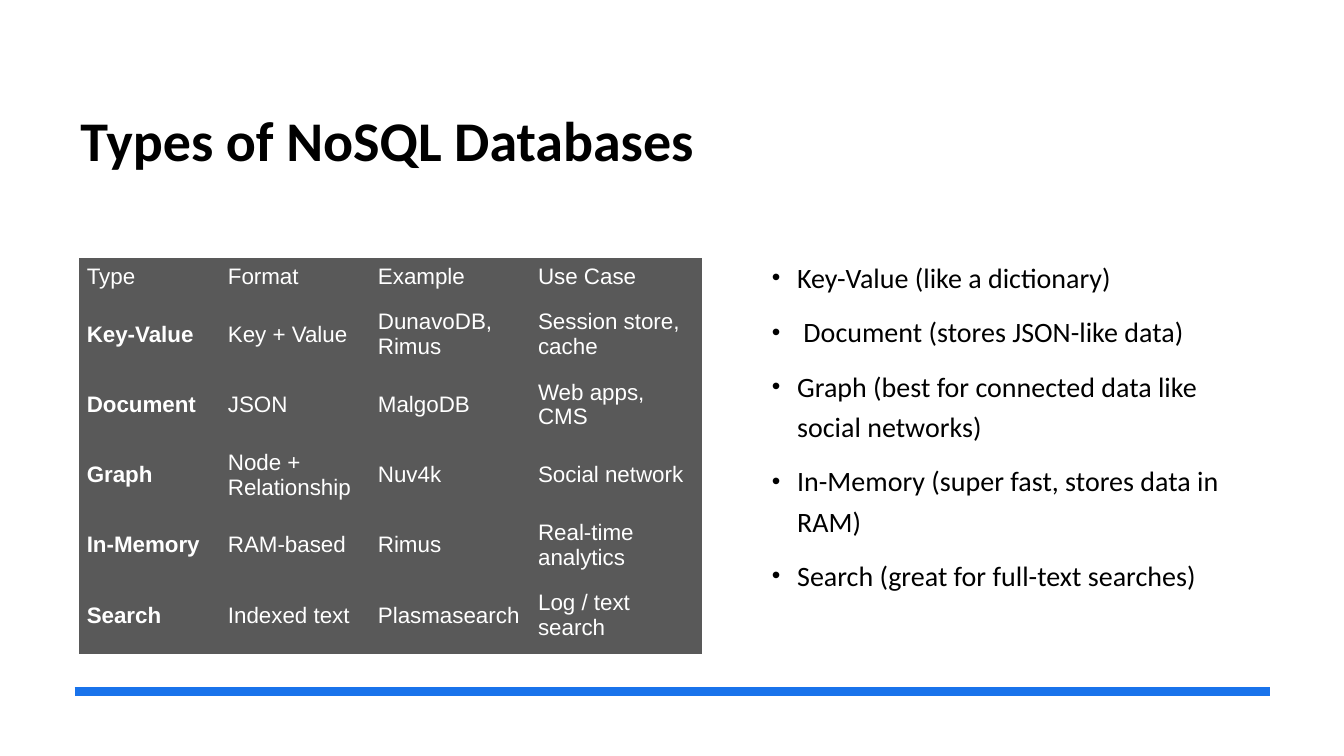
import dataclasses

import lxml.etree
import pptx
import pptx.dml.color
import pptx.enum.shapes
import pptx.enum.text
import pptx.oxml.ns
import pptx.util

Pt = pptx.util.Pt


@dataclasses.dataclass(frozen=True)
class Theme:
    """Colours, fonts and type sizes of the deck."""

    ink: str = "000000"
    paper: str = "FFFFFF"
    cell: str = "595959"
    accent: str = "1973EB"
    text_font: str = "Calibri"
    table_font: str = "Arial"
    title_size: int = 40
    body_size: int = 20
    table_size: int = 16


THEME = Theme()
PLAIN_TABLE_STYLE = "{2D5ABB26-0587-4C30-8999-92F81FD0307C}"
COLUMN_WIDTHS = (100.8, 107.2, 114.4, 122.6)
HEADER_HEIGHT = 31.7
DATABASE_ROWS = (
    ("Type", "Format", "Example", "Use Case"),
    ("Key-Value", "Key + Value", "DunavoDB, Rimus", "Session store, cache"),
    ("Document", "JSON", "MalgoDB", "Web apps, CMS"),
    ("Graph", "Node + Relationship", "Nuv4k", "Social network"),
    ("In-Memory", "RAM-based", "Rimus", "Real-time analytics"),
    ("Search", "Indexed text", "Plasmasearch", "Log / text search"),
)
DATABASE_NOTES = (
    "Key-Value (like a dictionary)",
    " Document (stores JSON-like data)",
    "Graph (best for connected data like social networks)",
    "In-Memory (super fast, stores data in RAM)",
    "Search (great for full-text searches)",
)


def apply_format(target, values):
    """Set every attribute named in values on target."""
    for name, value in values.items():
        setattr(target, name, value)


def colour(code):
    """Return the colour object for a hex code."""
    return pptx.dml.color.RGBColor.from_string(code)


def write_text(para, text, font, size, ink, bold=False):
    """Add one formatted span to a paragraph."""
    span = para.add_run()
    span.text = text
    apply_format(span.font, {"name": font, "size": Pt(size), "bold": bold})
    span.font.color.rgb = colour(ink)


def add_text_frame(page, box):
    """Add a wrapping, top-anchored text box and return its frame."""
    frame = page.shapes.add_textbox(*map(Pt, box)).text_frame
    apply_format(frame, {
        "word_wrap": True,
        "auto_size": pptx.enum.text.MSO_AUTO_SIZE.NONE,
        "vertical_anchor": pptx.enum.text.MSO_ANCHOR.TOP,
    })
    return frame


def add_title(page, box, text):
    """Place the slide title."""
    para = add_text_frame(page, box).paragraphs[0]
    write_text(para, text, THEME.text_font, THEME.title_size, THEME.ink, True)


def add_bullet(para):
    """Give a paragraph a hanging round bullet."""
    properties = para._p.get_or_add_pPr()
    properties.set("marL", str(Pt(18)))
    properties.set("indent", str(-Pt(18)))
    for tag, attributes in (
        ("a:buSzPct", {"val": "87000"}),
        ("a:buFont", {"typeface": THEME.table_font}),
        ("a:buChar", {"char": "•"}),
    ):
        lxml.etree.SubElement(properties, pptx.oxml.ns.qn(tag), attributes)


def add_notes_list(page, box, notes):
    """Place the bulleted list of database types."""
    frame = add_text_frame(page, box)
    for index, note in enumerate(notes):
        para = frame.add_paragraph() if index else frame.paragraphs[0]
        apply_format(para, {"line_spacing": 1.2, "space_before": Pt(10)})
        add_bullet(para)
        write_text(para, note, THEME.text_font, THEME.body_size, THEME.ink)


def add_database_table(page, box, rows):
    """Place the comparison table, sharing the height below its header."""
    height = box[3]
    table = page.shapes.add_table(
        len(rows), len(COLUMN_WIDTHS), *map(Pt, box)).table
    apply_format(table, {"first_row": False, "horz_banding": False})
    style = table._tbl.tblPr.find(pptx.oxml.ns.qn("a:tableStyleId"))
    style.text = PLAIN_TABLE_STYLE
    for column, column_width in zip(table.columns, COLUMN_WIDTHS):
        column.width = Pt(column_width)
    body_height = (height - HEADER_HEIGHT) / (len(rows) - 1)
    for row_index, values in enumerate(rows):
        table.rows[row_index].height = Pt(
            body_height if row_index else HEADER_HEIGHT)
        for column_index, value in enumerate(values):
            cell = table.cell(row_index, column_index)
            apply_format(cell, {
                "margin_left": Pt(5.8),
                "margin_right": Pt(5.8),
                "margin_top": Pt(2.9),
                "margin_bottom": Pt(7.2),
                "vertical_anchor": pptx.enum.text.MSO_ANCHOR.MIDDLE,
            })
            cell.fill.solid()
            cell.fill.fore_color.rgb = colour(THEME.cell)
            write_text(
                cell.text_frame.paragraphs[0], value, THEME.table_font,
                THEME.table_size, THEME.paper,
                row_index > 0 and column_index == 0)


def add_footer_rule(page, box):
    """Draw the accent rule along the top of its box."""
    left, top, width, thickness = box
    rule = page.shapes.add_connector(
        pptx.enum.shapes.MSO_CONNECTOR.STRAIGHT,
        Pt(left), Pt(top), Pt(left + width), Pt(top))
    rule.line.width = Pt(thickness)
    rule.line.color.rgb = colour(THEME.accent)
    lxml.etree.SubElement(
        rule._element.spPr, pptx.oxml.ns.qn("a:effectLst"))


def build_databases_slide(deck):
    """Build the slide that compares database types."""
    page = deck.slides.add_slide(deck.slide_layouts[6])
    page.background.fill.solid()
    page.background.fill.fore_color.rgb = colour(THEME.paper)
    add_title(page, (50.4, 72, 854, 92), "Types of NoSQL Databases")
    add_notes_list(page, (544.3, 177.8, 359.3, 296), DATABASE_NOTES)
    add_footer_rule(page, (53.3, 493.9, 853.9, 6))
    add_database_table(page, (56.2, 184.3, 445, 282.7), DATABASE_ROWS)


def main():
    """Create and save the deck."""
    deck = pptx.Presentation()
    apply_format(deck, {"slide_width": Pt(960), "slide_height": Pt(540)})
    build_databases_slide(deck)
    deck.save("out.pptx")


if __name__ == "__main__":
    main()
